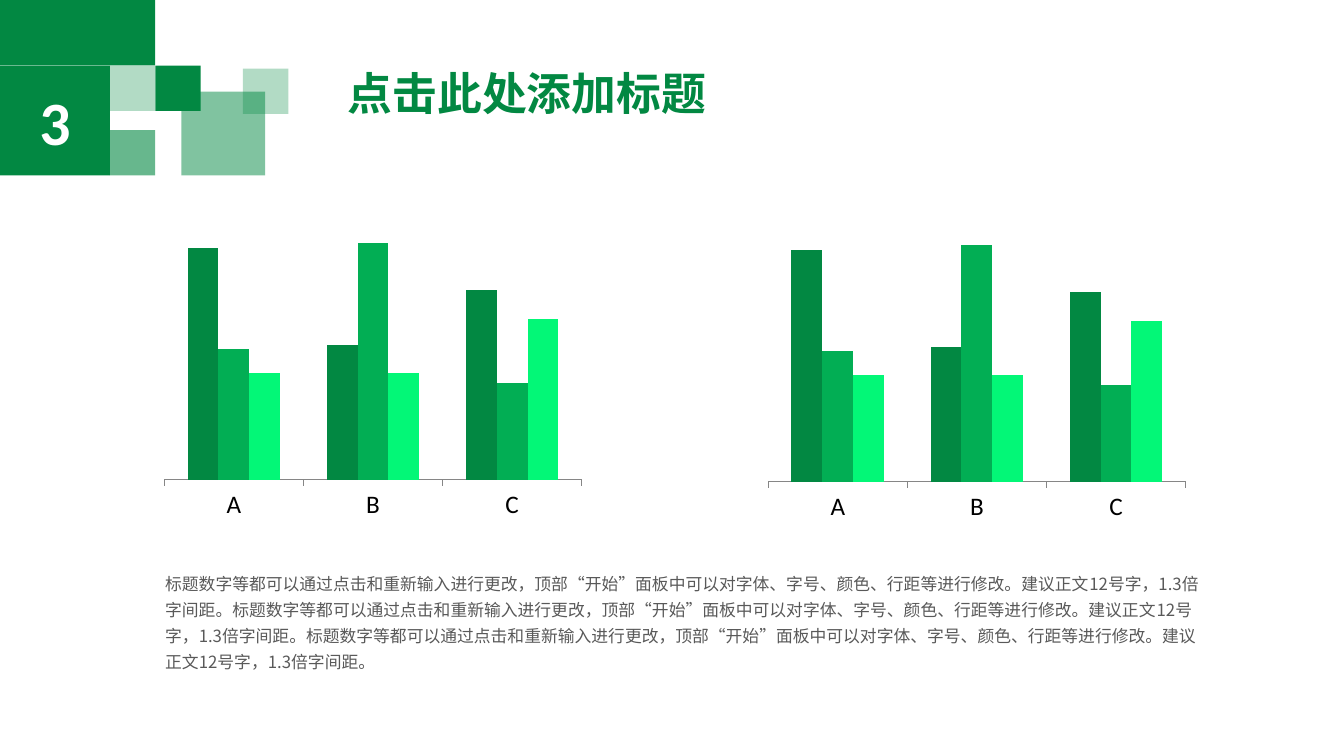
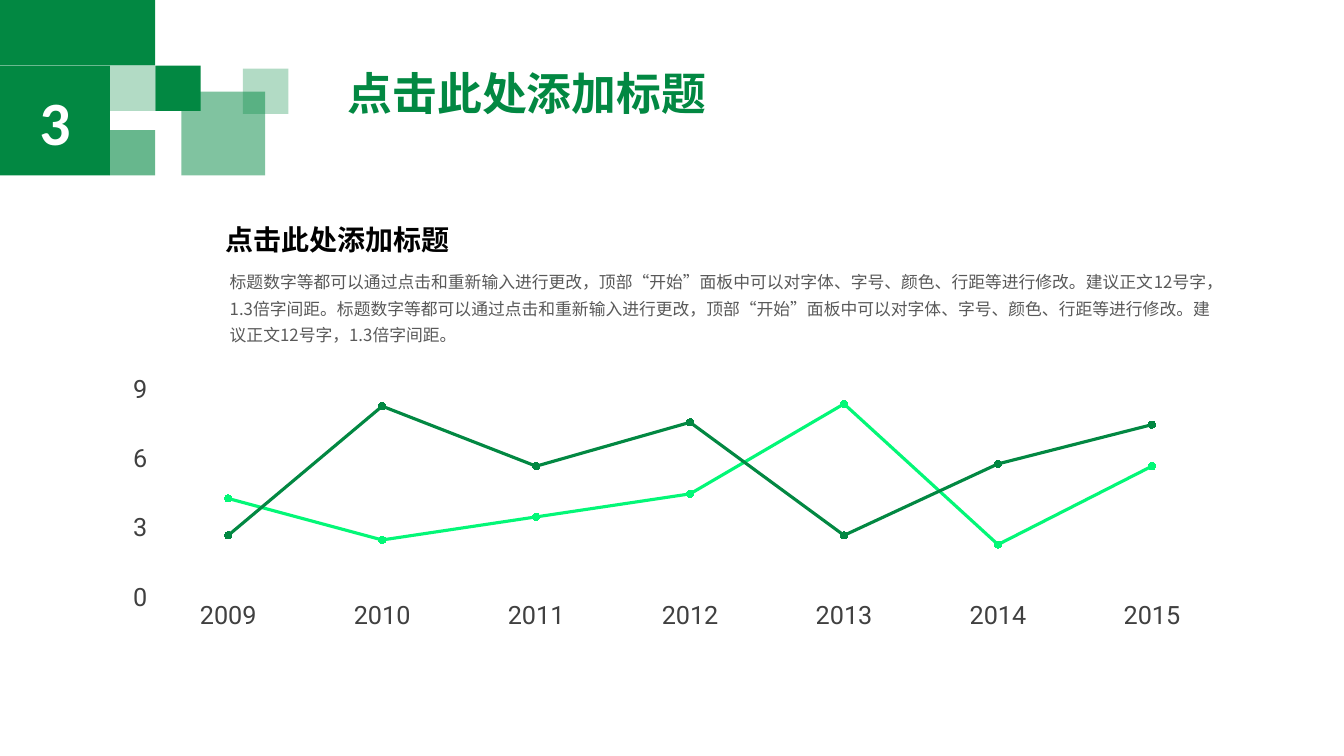
"""Build two green chart slides with a shared mosaic header."""
import pptx
import pptx.chart.data
import pptx.dml.color
import pptx.enum.chart
import pptx.enum.shapes
import pptx.enum.text
import pptx.oxml
import pptx.oxml.ns
import pptx.util
from pptx.util import Inches

GREEN = "028842"
MID_GREEN = "02AE54"
BRIGHT_GREEN = "03F777"
WHITE = "FFFFFF"
BLACK = "000000"
BODY_GREY = "595959"
AXIS_GREY = "868686"
LABEL_GREY = "404040"
CHINESE_FONT = "Noto Sans CJK SC"
LATIN_FONT = "Calibri"
TITLE = "点击此处添加标题"
BODY = (
    "标题数字等都可以通过点击和重新输入进行更改，顶部“开始”面板中可以对字体、"
    "字号、颜色、行距等进行修改。建议正文12号字，1.3倍字间距。"
)
MOSAIC = [
    (0, 0, 1.54, 0.65, 100),
    (1.09, 0.65, 0.45, 0.45, 30),
    (1.54, 0.65, 0.45, 0.45, 100),
    (1.09, 1.29, 0.45, 0.45, 60),
    (1.8, 0.91, 0.83, 0.83, 50),
    (2.41, 0.68, 0.45, 0.45, 30),
]
BAR_SERIES = [
    ("Series 1", (98, 57, 80), GREEN),
    ("Series 2", (55, 100, 41), MID_GREEN),
    ("Series 3", (45, 45, 68), BRIGHT_GREEN),
]
LINE_SERIES = [
    ("Series 1", (4.3, 2.5, 3.5, 4.5, 8.4, 2.3, 5.7), BRIGHT_GREEN),
    ("Series 2", (2.7, 8.3, 5.7, 7.6, 2.7, 5.8, 7.5), GREEN),
]


def rgb(color):
    """Return the colour for a hex string."""
    return pptx.dml.color.RGBColor.from_string(color)


def fill_solid(fill, color):
    """Apply a plain colour to a fill."""
    fill.solid()
    fill.fore_color.rgb = rgb(color)


def style_font(font, size, color, name=LATIN_FONT, bold=False):
    """Set the look of a font."""
    font.size = pptx.util.Pt(size)
    font.bold = bold
    font.color.rgb = rgb(color)
    font.name = name


def write_text(shape, text, size, color, name=CHINESE_FONT, bold=False,
               centered=False, spacing=None):
    """Write one styled paragraph into a shape."""
    paragraph = shape.text_frame.paragraphs[0]
    paragraph.text = text
    if centered:
        paragraph.alignment = pptx.enum.text.PP_ALIGN.CENTER
    if spacing:
        paragraph.line_spacing = spacing
    style_font(paragraph.font, size, color, name, bold)
    properties = paragraph._p.pPr.find(pptx.oxml.ns.qn("a:defRPr"))
    east_asian = properties.makeelement(pptx.oxml.ns.qn("a:ea"), {"typeface": name})
    properties.append(east_asian)


def add_text(slide, box, text, size, color, wrap=True, grow=True, **style):
    """Add a text box."""
    shape = slide.shapes.add_textbox(*map(Inches, box))
    frame = shape.text_frame
    frame.word_wrap = wrap
    if grow:
        frame.auto_size = pptx.enum.text.MSO_AUTO_SIZE.SHAPE_TO_FIT_TEXT
    else:
        frame.vertical_anchor = pptx.enum.text.MSO_ANCHOR.MIDDLE
    write_text(shape, text, size, color, **style)


def add_square(slide, left, top, width, height, opacity=100):
    """Add a borderless green rectangle."""
    shape = slide.shapes.add_shape(
        pptx.enum.shapes.MSO_SHAPE.RECTANGLE, *map(Inches, (left, top, width, height)))
    shape.shadow.inherit = False
    shape.line.fill.background()
    fill_solid(shape.fill, GREEN)
    if opacity < 100:
        color = shape._element.spPr.find(".//" + pptx.oxml.ns.qn("a:srgbClr"))
        alpha = color.makeelement(pptx.oxml.ns.qn("a:alpha"), {"val": str(opacity * 1000)})
        color.append(alpha)
    return shape


def add_header(slide, number):
    """Add the mosaic, the title and the section number."""
    for square in MOSAIC:
        add_square(slide, *square)
    add_text(slide, (3.35, 0.65, 3.79, 0.6), TITLE, 32, GREEN,
             grow=False, bold=True, spacing=0.9)
    badge = add_square(slide, 0, 0.65, 1.09, 1.09)
    badge.text_frame.vertical_anchor = pptx.enum.text.MSO_ANCHOR.MIDDLE
    write_text(badge, number, 44, WHITE, LATIN_FONT, bold=True, centered=True)


def place_plot(chart, box, plot_box):
    """Fix the inner plot area, given in inches from the chart corner."""
    width, height = box[2:]
    fractions = [length / whole for length, whole in zip(plot_box, (width, height) * 2)]
    entries = "".join(
        f'<c:{tag} val="{fraction:.4f}"/>' for tag, fraction in zip("xywh", fractions))
    layout = pptx.oxml.parse_xml(
        f'<c:layout {pptx.oxml.ns.nsdecls("c")}><c:manualLayout>'
        '<c:layoutTarget val="inner"/><c:xMode val="edge"/><c:yMode val="edge"/>'
        f"{entries}</c:manualLayout></c:layout>")
    plot_area = chart._chartSpace.chart.plotArea
    for old_layout in plot_area.findall(pptx.oxml.ns.qn("c:layout")):
        plot_area.remove(old_layout)
    plot_area.insert(0, layout)


def add_chart(slide, kind, box, plot_box, categories, series_rows, maximum):
    """Add a chart without legend, title or gridlines."""
    data = pptx.chart.data.CategoryChartData()
    data.categories = categories
    for name, values, _ in series_rows:
        data.add_series(name, values)
    chart = slide.shapes.add_chart(kind, *map(Inches, box), data).chart
    chart.has_legend = False
    chart.has_title = False
    style_font(chart.font, 18, BLACK)
    chart.plots[0].vary_by_categories = False
    value_axis = chart.value_axis
    value_axis.has_major_gridlines = False
    value_axis.minimum_scale = 0
    value_axis.maximum_scale = maximum
    place_plot(chart, box, plot_box)
    return chart


def add_bar_chart(slide, left, top):
    """Add a clustered column chart."""
    chart = add_chart(
        slide, pptx.enum.chart.XL_CHART_TYPE.COLUMN_CLUSTERED, (left, top, 4.32, 3.21),
        (0.09, 0.39, 4.14, 2.35), "ABC", BAR_SERIES, 100)
    chart.value_axis.visible = False
    chart.category_axis.major_tick_mark = pptx.enum.chart.XL_TICK_MARK.OUTSIDE
    chart.category_axis.format.line.color.rgb = rgb(AXIS_GREY)
    plot = chart.plots[0]
    plot.gap_width = 150
    plot.overlap = 0
    for series, (_, _, color) in zip(plot.series, BAR_SERIES):
        fill_solid(series.format.fill, color)


def add_line_chart(slide):
    """Add the line chart with round markers."""
    years = [str(year) for year in range(2009, 2016)]
    chart = add_chart(
        slide, pptx.enum.chart.XL_CHART_TYPE.LINE_MARKERS, (1.09, 3.68, 11.32, 2.65),
        (0.41, 0.19, 10.69, 2.06), years, LINE_SERIES, 9)
    chart.value_axis.major_unit = 3
    for axis in (chart.category_axis, chart.value_axis):
        axis.major_tick_mark = pptx.enum.chart.XL_TICK_MARK.NONE
        axis.format.line.fill.background()
        style_font(axis.tick_labels.font, 18, LABEL_GREY, "Roboto")
    for series, (_, _, color) in zip(chart.plots[0].series, LINE_SERIES):
        series.smooth = False
        series.format.line.color.rgb = rgb(color)
        series.format.line.width = pptx.util.Pt(2.25)
        series.marker.style = pptx.enum.chart.XL_MARKER_STYLE.CIRCLE
        series.marker.size = 5
        fill_solid(series.marker.format.fill, color)
        series.marker.format.line.color.rgb = rgb(color)


def add_slide(presentation):
    """Add a blank slide with the shared header."""
    slide = presentation.slides.add_slide(presentation.slide_layouts[6])
    add_header(slide, "3")
    return slide


def main():
    """Build and save the presentation."""
    presentation = pptx.Presentation()
    presentation.slide_width = Inches(13.33)
    presentation.slide_height = Inches(7.5)

    columns = add_slide(presentation)
    add_bar_chart(columns, 1.54, 2.02)
    add_bar_chart(columns, 7.53, 2.04)
    add_text(columns, (1.54, 5.58, 10.5, 1.13), BODY * 3, 12, BODY_GREY, spacing=1.3)

    trend = add_slide(presentation)
    add_text(trend, (2.13, 2.16, 2.44, 0.44), TITLE, 20, BLACK,
             wrap=False, bold=True, centered=True)
    add_text(trend, (2.18, 2.59, 9.95, 0.86), BODY * 2, 12, BODY_GREY, spacing=1.3)
    add_line_chart(trend)

    presentation.save("out.pptx")


if __name__ == "__main__":
    main()
